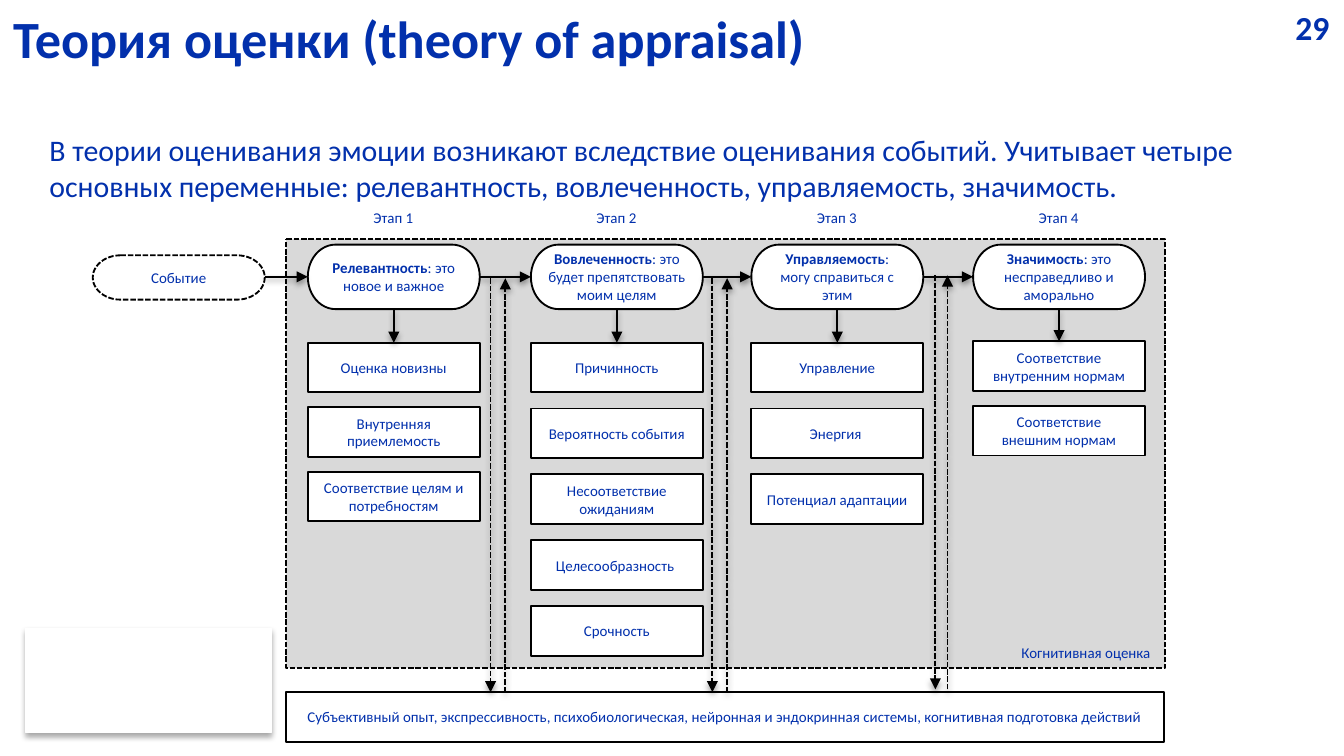
from pptx import Presentation, util as u
from pptx.dml.color import RGBColor
from pptx.enum import dml, shapes, text
from pptx.oxml import parse_xml
from pptx.oxml.ns import nsdecls

hue = RGBColor.from_string
kinds = shapes.MSO_SHAPE
rect, oval = kinds.FLOWCHART_PROCESS, kinds.FLOWCHART_TERMINATOR
dash = dml.MSO_LINE.SQUARE_DOT
left, mid, right = text.PP_ALIGN.LEFT, text.PP_ALIGN.CENTER, text.PP_ALIGN.RIGHT
ns = nsdecls("a")
shade = (f'<a:effectLst {ns}><a:outerShdw blurRad="40000" dist="%d" dir="5400000" '
         'rotWithShape="0"><a:srgbClr val="000000"><a:alpha val="%d"/></a:srgbClr>'
         '</a:outerShdw></a:effectLst>')

deck = Presentation()
deck.slide_width = u.Inches(10)
deck.slide_height = u.Inches(10 * 9 / 16)
slide = deck.slides.add_slide(deck.slide_layouts[6])


def box(kind, at, words="", size=8, align=mid, bold=False, fill="FFFFFF", dashed=False, wrap=True):
    area = [u.Inches(n) for n in at]
    if kind is None:
        item = slide.shapes.add_textbox(*area)
    else:
        item = slide.shapes.add_shape(kind, *area)
        item.shadow.inherit = False
        item.fill.solid()
        item.fill.fore_color.rgb = hue(fill)
        item.line.color.rgb = hue("000000")
        item.line.width = u.Pt(1)
        if dashed:
            item.line.dash_style = dash
    frame = item.text_frame
    frame.word_wrap = wrap
    frame.vertical_anchor = text.MSO_ANCHOR.TOP if kind is None else text.MSO_ANCHOR.MIDDLE
    para = frame.paragraphs[0]
    para.alignment = align
    font = para.font
    font.name, font.size, font.bold = "Calibri", u.Pt(size), bold
    font.color.rgb = hue("0230AC")
    head, colon, rest = words.partition(":")
    if kind == oval and colon:
        run = para.add_run()
        run.text, run.font.bold = head, True
        para.add_run().text = colon + rest
    elif words:
        para.add_run().text = words
    return item


def link(x1, y1, x2, y2, dashed=False):
    ends = [u.Inches(n) for n in (x1, y1, x2, y2)]
    wire = slide.shapes.add_connector(shapes.MSO_CONNECTOR.STRAIGHT, *ends)
    wire.line.color.rgb = hue("000000")
    wire.line.width = u.Pt(1)
    if dashed:
        wire.line.dash_style = dash
    wire.line._get_or_add_ln().append(parse_xml(f'<a:tailEnd {ns} type="triangle"/>'))
    wire._element.spPr.append(parse_xml(shade % (20000, 38000)))


card = box(kinds.RECTANGLE, (0.19, 4.68, 1.83, 0.77))
card.line.color.rgb = hue("FFFFFF")
card.line.width = u.Pt(0.5)
props = card._element.spPr
props.replace(props[-1], parse_xml(shade % (23000, 35000)))

box(None, (0, 0, 7.29, 0.53), "Теория оценки (theory of appraisal)", 28, left, True)
box(None, (9.41, 0, 0.58, 0.4), "29", 18, right, True)
box(None, (0.27, 0.93, 9.27, 0.66),
    "В теории оценивания эмоции возникают вследствие оценивания событий. Учитывает четыре "
    "основных переменные: релевантность, вовлеченность, управляемость, значимость.", 16, left)

box(rect, (2.13, 1.78, 6.54, 3.19), fill="D9D9D9", dashed=True)
box(oval, (0.69, 1.9, 1.28, 0.33), "Событие", dashed=True)
box(rect, (2.13, 5.15, 6.53, 0.37),
    "Субъективный опыт, экспрессивность, психобиологическая, нейронная и эндокринная системы, "
    "когнитивная подготовка действий")
box(None, (6.98, 4.74, 1.68, 0.23), "Когнитивная оценка", align=right)

stages = [
    (2.29, 2.55, 0.48, "Релевантность: это новое и важное",
     ["Оценка новизны", "Внутренняя приемлемость", "Соответствие целям и потребностям"]),
    (3.95, 2.55, 0.49, "Вовлеченность: это будет препятствовать моим целям",
     ["Причинность", "Вероятность события", "Несоответствие ожиданиям", "Целесообразность ", "Срочность"]),
    (5.59, 2.55, 0.49, "Управляемость: могу справиться с этим",
     ["Управление", "Энергия ", "Потенциал адаптации"]),
    (7.24, 2.54, 0.48, "Значимость: это несправедливо и аморально",
     ["Соответствие внутренним нормам", "Соответствие внешним нормам"]),
]
wide = 1.28
for num, (x, top, step, head, parts) in enumerate(stages, 1):
    box(None, (x + 0.39, 1.5, 0.5, 0.23), f"Этап {num}", align=left, wrap=False)
    lead = box(oval, (x, 1.82, wide, 0.48), head)
    if num == 2:
        lead.text_frame.margin_left = lead.text_frame.margin_right = u.Inches(0.04)
    for row, part in enumerate(parts):
        box(rect, (x, top + row * step, wide, 0.37), part)
    link(x + wide / 2, 2.3, x + wide / 2, top)

link(1.97, 2.06, 2.29, 2.06)
for now, after in zip(stages, stages[1:]):
    link(now[0] + wide, 2.06, after[0], 2.06)
for down, up, top, low in [(3.65, 3.76, 2.07, 5.15), (5.3, 5.41, 2.07, 5.15), (6.96, 7.05, 2.05, 5.13)]:
    link(down, top, down, low, True)
    link(up, low, up, top, True)

deck.save("out.pptx")
